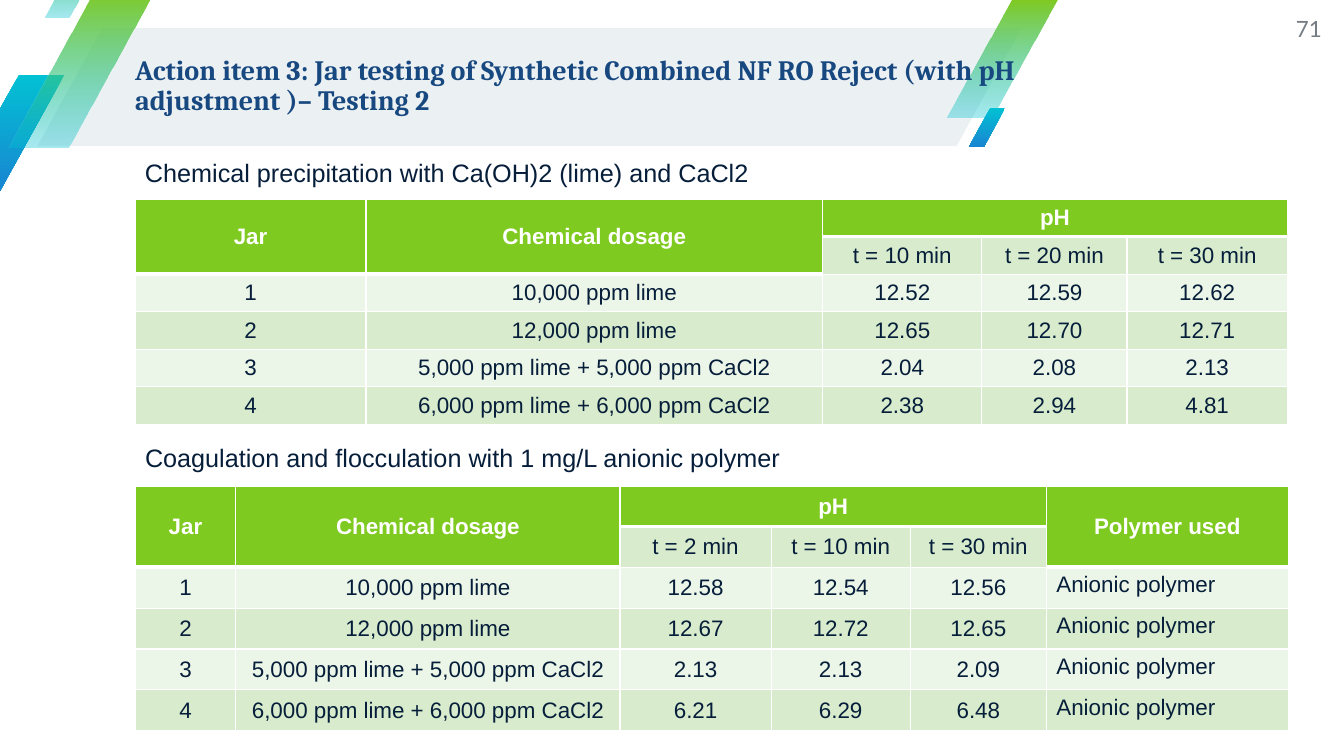
from dataclasses import dataclass

from lxml import etree
from pptx import Presentation
from pptx.dml.color import RGBColor
from pptx.enum.shapes import MSO_SHAPE
from pptx.enum.text import MSO_ANCHOR, PP_ALIGN
from pptx.oxml.ns import qn
from pptx.slide import Slide
from pptx.table import _Cell
from pptx.text.text import TextFrame
from pptx.util import Emu, Inches, Pt

SLANT = MSO_SHAPE.PARALLELOGRAM
TOP, MIDDLE = MSO_ANCHOR.TOP, MSO_ANCHOR.MIDDLE
LEFT, CENTER, RIGHT = PP_ALIGN.LEFT, PP_ALIGN.CENTER, PP_ALIGN.RIGHT

WIDTH, HEIGHT = 13.33, 7.5
GRID = 100
EDGE = 10.05

COLORS = {
    "white": "FFFFFF", "mist": "EBF0F3", "green": "7FCA20", "teal": "02C1D3",
    "blue": "1985D2", "navy": "184880", "ink": "061E3A", "gray": "757C83",
    "pale": "ECF6E8", "mint": "D8ECCD",
}


@dataclass
class Box:
    x: float
    y: float
    w: float
    h: float


@dataclass
class Font:
    name: str
    size: int
    color: str
    bold: bool = False


@dataclass
class Stripe:
    box: Box
    slope: float
    start: str
    end: str
    alpha: int = 100


@dataclass
class Label:
    box: Box
    text: str
    font: Font
    align: PP_ALIGN = LEFT
    inset: bool = False
    space: float = 1.0


@dataclass
class Sheet:
    x: float
    y: float
    cols: list[float]
    first: float
    other: float
    head: list[list[str]]
    body: list[list[str]]


HEAD = Font("Arial", 16, "white", True)
BODY = Font("Arial", 16, "ink")
NOTE = Font("Arial", 18, "ink")

STRIPES = [
    Stripe(Box(2.78, 3.73, 73.22, 15.6), 0.55, "mist", "mist"),
    Stripe(Box(-3.45, 9.87, 8.25, 15.6), 0.59, "teal", "blue"),
    Stripe(Box(70.44, 0, 8.25, 15.6), 0.59, "green", "teal", 34),
    Stripe(Box(0.6, -1.33, 10.95, 20.8), 0.59, "green", "teal", 34),
    Stripe(Box(3.3, -6.4, 4.58, 8.67), 0.59, "green", "teal", 34),
    Stripe(Box(72.09, 14.27, 2.7, 5.2), 0.59, "teal", "blue"),
]

LABELS = [
    Label(Box(EDGE, 3.47, 65.94, 15.87),
          "Action item 3: Jar testing of Synthetic Combined NF RO Reject "
          "(with pH adjustment )– Testing 2",
          Font("Cambria", 20, "navy", True), space=0.9),
    Label(Box(93.62, 0, 4.73, 7.6), "71", Font("Lato", 16, "gray"), RIGHT),
    Label(Box(EDGE, 20.13, 46.89, 5.33),
          "Chemical precipitation with Ca(OH)2 (lime) and CaCl2", NOTE, inset=True),
    Label(Box(EDGE, 57.87, 49.74, 5.33),
          "Coagulation and flocculation with 1 mg/L anionic polymer", NOTE, inset=True),
]

DOSES = ["10,000 ppm lime", "12,000 ppm lime",
         "5,000 ppm lime + 5,000 ppm CaCl2", "6,000 ppm lime + 6,000 ppm CaCl2"]
EARLY = [["12.52", "12.59", "12.62"], ["12.65", "12.70", "12.71"],
         ["2.04", "2.08", "2.13"], ["2.38", "2.94", "4.81"]]
LATE = [["12.58", "12.54", "12.56"], ["12.67", "12.72", "12.65"],
        ["2.13", "2.13", "2.09"], ["6.21", "6.29", "6.48"]]


def jars(tests: list[list[str]], extra: list[str]) -> list[list[str]]:
    return [[str(n), dose, *test, *extra]
            for n, (dose, test) in enumerate(zip(DOSES, tests), 1)]


TITLES = ["Jar", "Chemical dosage", "pH", "", ""]
SHEETS = [
    Sheet(EDGE, 26.4, [17.18, 33.98, 11.85, 10.8, 11.93], 4.8, 4.97,
          [TITLES, ["", "", "t = 10 min", "t = 20 min", "t = 30 min"]],
          jars(EARLY, [])),
    Sheet(EDGE, 64.4, [7.5, 28.58, 11.25, 10.35, 10.13, 18], 5.23, 5.41,
          [TITLES + ["Polymer used"],
           ["", "", "t = 2 min", "t = 10 min", "t = 30 min", ""]],
          jars(LATE, ["Anionic polymer"])),
]


def wide(cols: float) -> Emu:
    return Inches(WIDTH * cols / GRID)


def high(rows: float) -> Emu:
    return Inches(HEIGHT * rows / GRID)


def place(box: Box) -> tuple[Emu, Emu, Emu, Emu]:
    return wide(box.x), high(box.y), wide(box.w), high(box.h)


def tint(name: str) -> RGBColor:
    return RGBColor.from_string(COLORS[name])


def write(frame: TextFrame, text: str, font: Font, align: PP_ALIGN) -> None:
    frame.text = text
    line = frame.paragraphs[0]
    line.alignment = align
    for run in line.runs:
        run.font.name, run.font.size, run.font.bold = font.name, Pt(font.size), font.bold
        run.font.color.rgb = tint(font.color)


def draw_stripe(slide: Slide, stripe: Stripe) -> None:
    shape = slide.shapes.add_shape(SLANT, *place(stripe.box))
    shape.adjustments[0] = stripe.slope
    shape.shadow.inherit = False
    shape.line.fill.background()
    if stripe.start == stripe.end:
        shape.fill.solid()
        shape.fill.fore_color.rgb = tint(stripe.start)
        return
    shape.fill.gradient()
    shape.fill.gradient_angle = 270
    for stop, name in zip(shape.fill.gradient_stops, (stripe.start, stripe.end)):
        stop.color.rgb = tint(name)
    last = list(shape._element.spPr.iter(qn("a:srgbClr")))[-1]
    etree.SubElement(last, qn("a:alpha"), val=str(stripe.alpha * 1000))


def draw_label(slide: Slide, label: Label) -> None:
    frame = slide.shapes.add_textbox(*place(label.box)).text_frame
    frame.word_wrap = not label.inset
    if not label.inset:
        frame.vertical_anchor = MIDDLE
        frame.margin_left = frame.margin_right = 0
        frame.margin_top = frame.margin_bottom = 0
    write(frame, label.text, label.font, label.align)
    frame.paragraphs[0].line_spacing = label.space


def rule(cell: _Cell, side: str, points: int) -> None:
    props = cell._tc.get_or_add_tcPr()
    line = etree.SubElement(props, qn(f"a:ln{side}"), w=str(Pt(points)))
    fill = etree.SubElement(line, qn("a:solidFill"))
    etree.SubElement(fill, qn("a:srgbClr"), val=COLORS["white"])


def draw_sheet(slide: Slide, sheet: Sheet) -> None:
    rows = sheet.head + sheet.body
    sizes = [sheet.first] + [sheet.other] * (len(rows) - 1)
    box = Box(sheet.x, sheet.y, sum(sheet.cols), sum(sizes))
    table = slide.shapes.add_table(len(rows), len(sheet.cols), *place(box)).table
    table.first_row = table.horz_banding = False
    for col, size in zip(table.columns, sheet.cols):
        col.width = wide(size)
    for row, size in zip(table.rows, sizes):
        row.height = high(size)
    for r, texts in enumerate(rows):
        for c, text in enumerate(texts):
            cell = table.cell(r, c)
            head = r == 0 or (r == 1 and not text)
            for side in "LRTB":
                if side != "T" or r == 0:
                    rule(cell, side, 3 if head and side == "B" else 1)
            cell.fill.solid()
            fill = "green" if head else "mint" if r % 2 else "pale"
            cell.fill.fore_color.rgb = tint(fill)
            loose = c == len(TITLES) and r > 1
            cell.vertical_anchor = TOP if loose else MIDDLE
            write(cell.text_frame, text, HEAD if head else BODY, LEFT if loose else CENTER)
    for c, text in enumerate(sheet.head[1]):
        if not text:
            table.cell(0, c).merge(table.cell(1, c))
    start = TITLES.index("pH")
    table.cell(0, start).merge(table.cell(0, len(TITLES) - 1))


def main() -> None:
    deck = Presentation()
    deck.slide_width, deck.slide_height = Inches(WIDTH), Inches(HEIGHT)
    slide = deck.slides.add_slide(deck.slide_layouts[6])
    for stripe in STRIPES:
        draw_stripe(slide, stripe)
    for label in LABELS:
        draw_label(slide, label)
    for sheet in SHEETS:
        draw_sheet(slide, sheet)
    deck.save("out.pptx")


if __name__ == "__main__":
    main()
